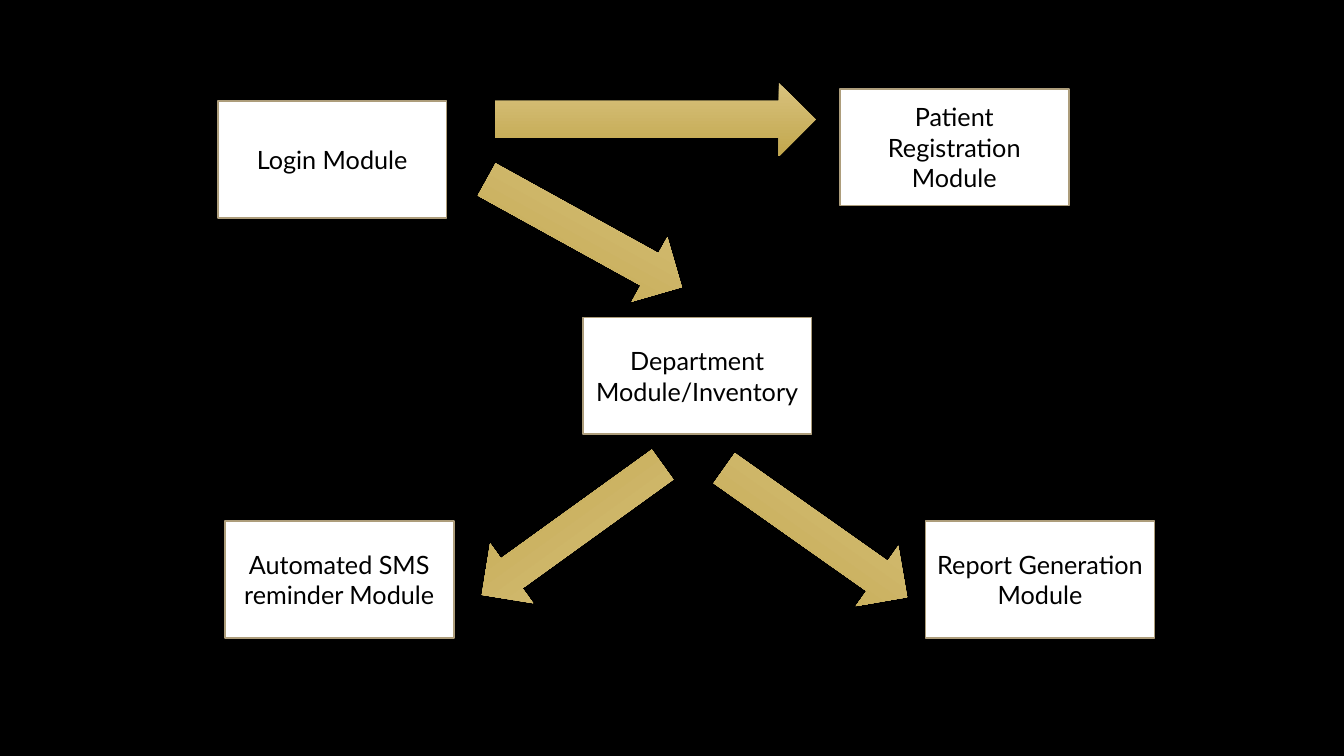
from dataclasses import dataclass

from pptx import Presentation
from pptx.dml.color import RGBColor
from pptx.enum.shapes import MSO_SHAPE
from pptx.enum.text import MSO_ANCHOR, PP_ALIGN
from pptx.util import Emu, Pt


@dataclass(frozen=True)
class Theme:
    """Colours, font and sizes of the module diagram."""

    background: RGBColor = RGBColor(0x00, 0x00, 0x00)
    box_fill: RGBColor = RGBColor(0xFF, 0xFF, 0xFF)
    box_line: RGBColor = RGBColor(0xAD, 0x9D, 0x7B)
    text: RGBColor = RGBColor(0x00, 0x00, 0x00)
    arrow_top: RGBColor = RGBColor(0xD8, 0xC2, 0x7E)
    arrow_bottom: RGBColor = RGBColor(0xC2, 0xA7, 0x4D)
    font: str = "Lato"
    text_size: float = 18
    line_width: float = 1.25


THEME = Theme()
EMU_PER_PX = 9144
SLIDE_SIZE = (1333, 750)
MODULE_SIZE = (227, 116)
ARROW_HEIGHT = 73

MODULES = [
    ("Login Module", 216, 100),
    ("Patient Registration Module", 833, 88),
    ("Report Generation Module", 918, 517),
    ("Department Module/Inventory", 578, 315),
    ("Automated SMS reminder Module", 223, 517),
]

ARROWS = [
    (491, 82, 318, 0),
    (469, 195, 221, 28.9),
    (698, 492, 222, 35.2),
    (457, 489, 221, 144.2),
]


def px(length):
    """Turn a length in px into EMU."""
    return Emu(length * EMU_PER_PX)


def add_preset(slide, kind, left, top, width, height):
    """Add a preset shape without a shadow."""
    shape = slide.shapes.add_shape(kind, px(left), px(top), px(width), px(height))
    shape.shadow.inherit = False
    return shape


def add_module(slide, label, left, top):
    """Add a box that names one module."""
    shape = add_preset(slide, MSO_SHAPE.RECTANGLE, left, top, *MODULE_SIZE)
    shape.fill.solid()
    shape.fill.fore_color.rgb = THEME.box_fill
    shape.line.color.rgb = THEME.box_line
    shape.line.width = Pt(THEME.line_width)
    frame = shape.text_frame
    frame.word_wrap = True
    frame.vertical_anchor = MSO_ANCHOR.MIDDLE
    paragraph = frame.paragraphs[0]
    paragraph.text = label
    paragraph.alignment = PP_ALIGN.CENTER
    paragraph.font.name = THEME.font
    paragraph.font.size = Pt(THEME.text_size)
    paragraph.font.color.rgb = THEME.text


def add_arrow(slide, left, top, width, rotation):
    """Add a gradient block arrow turned by the given degrees."""
    shape = add_preset(slide, MSO_SHAPE.RIGHT_ARROW, left, top, width, ARROW_HEIGHT)
    shape.rotation = rotation
    shape.line.fill.background()
    shape.fill.gradient()
    shape.fill.gradient_angle = 270
    colors = (THEME.arrow_top, THEME.arrow_bottom)
    for stop, color, position in zip(shape.fill.gradient_stops, colors, (0, 1)):
        stop.color.rgb = color
        stop.position = position


def main():
    """Build the module diagram and save it."""
    presentation = Presentation()
    presentation.slide_width, presentation.slide_height = map(px, SLIDE_SIZE)
    slide = presentation.slides.add_slide(presentation.slide_layouts[6])
    slide.background.fill.solid()
    slide.background.fill.fore_color.rgb = THEME.background
    for module in MODULES:
        add_module(slide, *module)
    for arrow in ARROWS:
        add_arrow(slide, *arrow)
    presentation.save("out.pptx")


if __name__ == "__main__":
    main()
